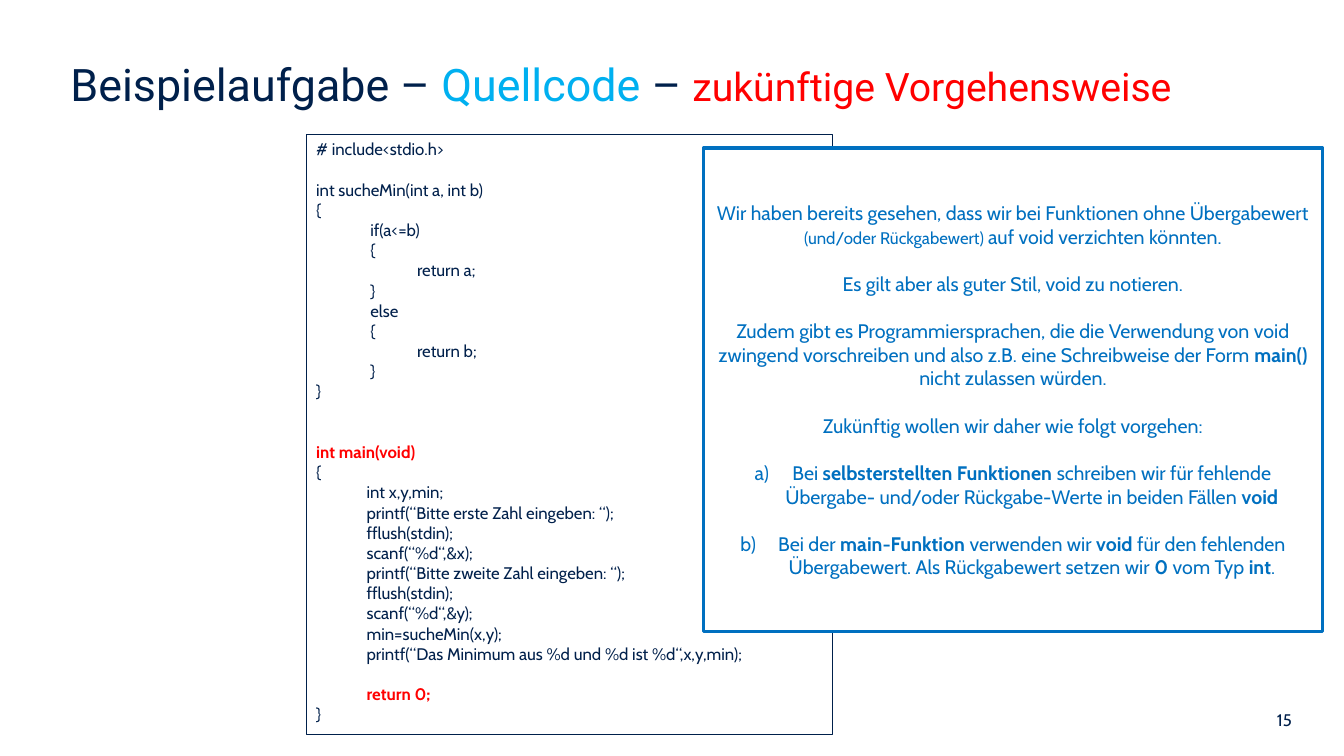
from lxml import etree
from pptx import Presentation
from pptx import util as u
from pptx.dml import color
from pptx.enum import shapes, text

NAVY, SKY, RED, BLUE, WHITE = "00204B", "00B0F0", "FF0000", "0070C0", "FFFFFF"
ALIGN, ANCHOR = text.PP_ALIGN, text.MSO_ANCHOR

CODE = """# include<stdio.h>

int sucheMin(int a, int b)
{
\t if(a<=b)
\t {
\t\treturn a;
\t }
\t else
\t {
\t\treturn b;
\t }
}


*int main(void)*
{
\tint x,y,min;
\tprintf(“Bitte erste Zahl eingeben: “);
\tfflush(stdin);
\tscanf(“%d“,&x);
\tprintf(“Bitte zweite Zahl eingeben: “);
\tfflush(stdin);
\tscanf(“%d“,&y);
\tmin=sucheMin(x,y);
\tprintf(“Das Minimum aus %d und %d ist %d“,x,y,min);

\t*return 0;*
}"""

NOTES = [
    "Wir haben bereits gesehen, dass wir bei Funktionen ohne Übergabewert "
    "~(und/oder Rückgabewert) ~auf void verzichten könnten.",
    "Es gilt aber als guter Stil, void zu notieren.",
    "Zudem gibt es Programmiersprachen, die die Verwendung von void zwingend "
    "vorschreiben und also z.B. eine Schreibweise der Form *main() *nicht "
    "zulassen würden.",
    "Zukünftig wollen wir daher wie folgt vorgehen:",
]
RULES = [
    "Bei *selbsterstellten Funktionen *schreiben wir für fehlende Übergabe- "
    "und/oder Rückgabe-Werte in beiden Fällen *void*",
    "Bei der *main-Funktion* verwenden wir *void* für den fehlenden "
    "Übergabewert. Als Rückgabewert setzen wir *0* vom Typ *int*.",
]


def tint(code):
    return color.RGBColor.from_string(code)


class Deck:
    head, body = "Roboto", "Cabin"

    def __init__(self):
        self.prs = Presentation()
        self.prs.slide_width, self.prs.slide_height = u.Cm(33.87), u.Cm(19.05)
        self.slide = self.prs.slides.add_slide(self.prs.slide_layouts[0])
        sub = self.slide.placeholders[1].element
        sub.getparent().remove(sub)

    def run(self, para, words, size, hue, bold=False, face=body):
        run = para.add_run()
        run.text = words
        font = run.font
        font.name, font.size, font.bold = face, u.Pt(size), bold
        font.color.rgb = tint(hue)

    def rich(self, para, line, size, hue, accent):
        """Add runs; *...* is bold in the accent colour, ~...~ is 12 pt."""
        for i, part in enumerate(line.split("*")):
            for j, words in enumerate(part.split("~")):
                if words:
                    self.run(para, words, 12 if j % 2 else size,
                             accent if i % 2 else hue, bool(i % 2))

    def para(self, frame, align, gap=0):
        first = frame.paragraphs[0]
        para = frame.add_paragraph() if first.runs else first
        para.alignment, para.space_before = align, u.Pt(gap)
        return para

    def title(self, place, parts):
        shape = self.slide.shapes.title
        shape.left, shape.top, shape.width, shape.height = map(u.Cm, place)
        frame = shape.text_frame
        frame.vertical_anchor = ANCHOR.TOP
        frame.auto_size = text.MSO_AUTO_SIZE.NONE
        frame.margin_top = u.Cm(0.22)
        para = self.para(frame, ALIGN.LEFT)
        for words, size, hue in parts:
            self.run(para, words, size, hue, face=self.head)

    def box(self, place, hue, width, anchor, fill=None):
        shape = self.slide.shapes.add_shape(
            shapes.MSO_SHAPE.RECTANGLE, *map(u.Cm, place))
        shape.shadow.inherit = False
        if fill:
            shape.fill.solid()
            shape.fill.fore_color.rgb = tint(fill)
        else:
            shape.fill.background()
        shape.line.color.rgb = tint(hue)
        shape.line.width = u.Pt(width)
        frame = shape.text_frame
        frame.word_wrap, frame.vertical_anchor = True, anchor
        return frame

    def code(self, place, source):
        frame = self.box(place, NAVY, 0.75, ANCHOR.TOP)
        gap = 0
        for line in source.splitlines():
            if line:
                para = self.para(frame, ALIGN.LEFT, gap)
                self.rich(para, line, 12, NAVY, RED)
                gap = 0
            else:
                gap += 14.5

    def panel(self, place, notes, rules):
        frame = self.box(place, BLUE, 2.25, ANCHOR.MIDDLE, WHITE)
        for i, line in enumerate(notes + rules):
            para = self.para(frame, ALIGN.CENTER, 17 if i else 0)
            self.rich(para, line, 14, BLUE, BLUE)
            if i >= len(notes):
                self.letter(para)

    def letter(self, para):
        """Number the paragraph a), b), ... with a hanging indent."""
        props = para._p.get_or_add_pPr()
        props.set("marL", str(u.Cm(0.95)))
        props.set("indent", str(-u.Cm(0.95)))
        space = props.nsmap["a"]
        face = etree.SubElement(props, f"{{{space}}}buFont")
        face.set("typeface", self.body)
        mark = etree.SubElement(props, f"{{{space}}}buAutoNum")
        mark.set("type", "alphaLcParenR")

    def label(self, place, words):
        frame = self.slide.shapes.add_textbox(*map(u.Cm, place)).text_frame
        frame.word_wrap = True
        self.run(self.para(frame, ALIGN.RIGHT), words, 12, NAVY)


def main():
    deck = Deck()
    deck.title((1.52, 1.22, 30.94, 2.01), [
        ("Beispielaufgabe – ", 32, NAVY),
        ("Quellcode ", 32, SKY),
        ("– ", 32, NAVY),
        ("zukünftige Vorgehensweise", 28, RED),
    ])
    deck.code((7.72, 3.38, 13.26, 15.14), CODE)
    deck.panel((17.73, 3.73, 15.6, 12.19), NOTES, RULES)
    deck.label((21.46, 17.76, 11.35, 1.02), "15")
    deck.prs.save("out.pptx")


if __name__ == "__main__":
    main()
